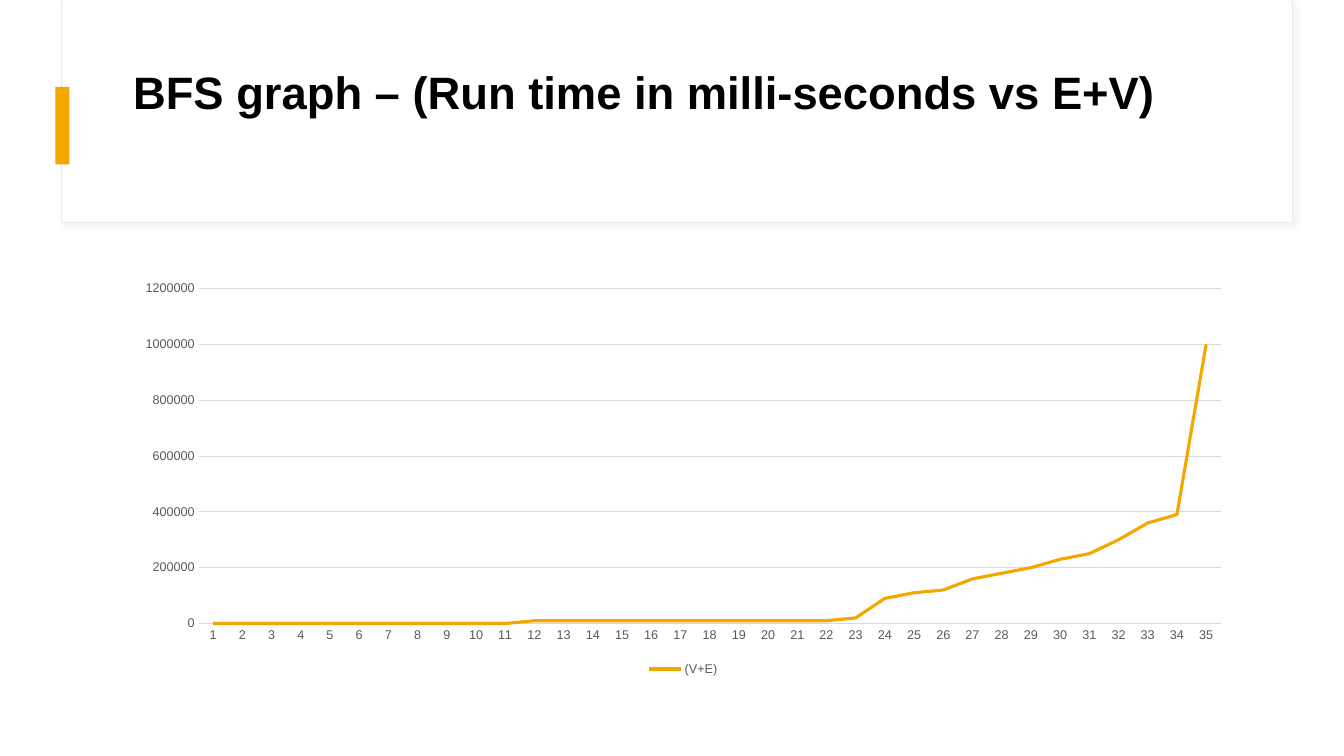
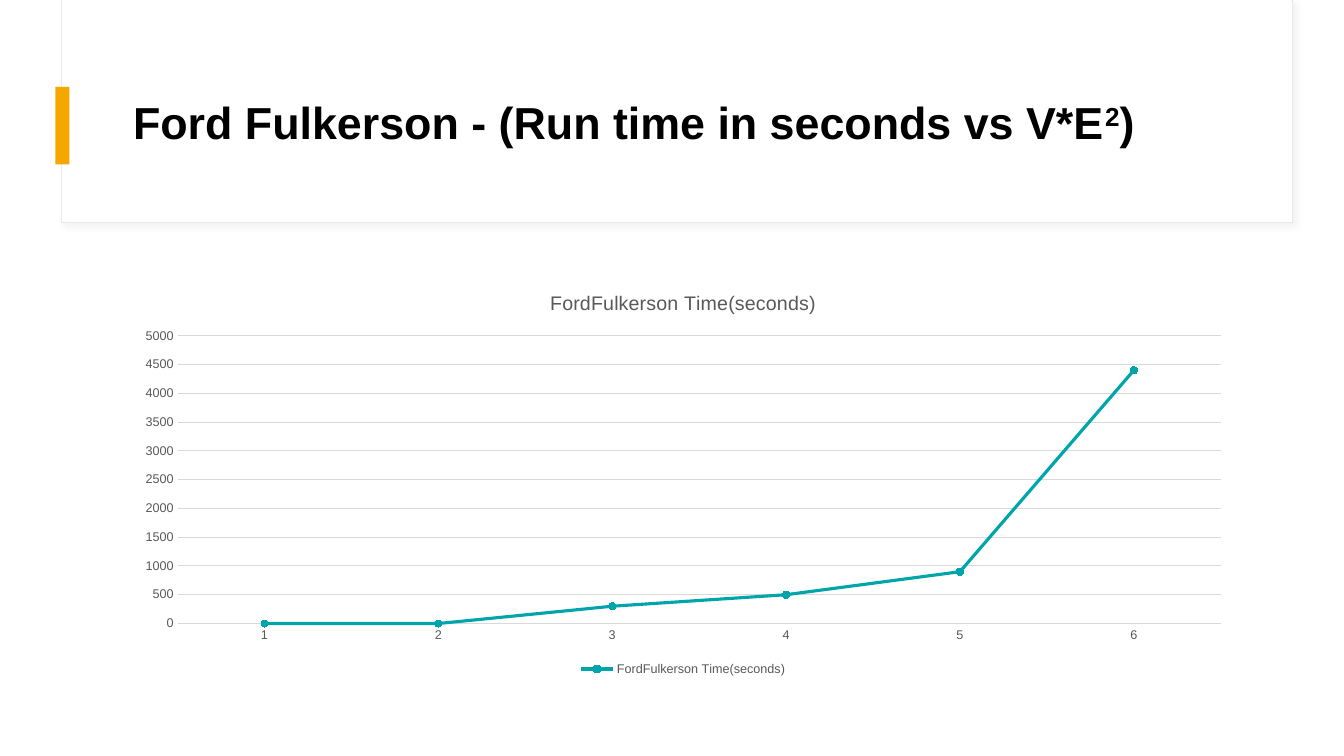
"""Build two slides of line charts showing the run times of graph algorithms."""
from lxml.etree import SubElement
from pptx import Presentation
from pptx.chart.data import CategoryChartData
from pptx.dml.color import RGBColor
from pptx.enum.chart import XL_CHART_TYPE, XL_LEGEND_POSITION, XL_MARKER_STYLE, XL_TICK_MARK
from pptx.enum.shapes import MSO_SHAPE
from pptx.enum.text import MSO_ANCHOR
from pptx.oxml.ns import qn
from pptx.util import Pt

FONT = "Arial"
COLORS = {
    "white": "FFFFFF", "black": "000000", "frame": "E9E9E9", "grid": "D9D9D9",
    "label": "595959", "amber": "F5A700", "teal": "00A5AB",
}
SLIDES = [
    {
        "title": [("BFS graph – (Run time in milli-seconds vs E+V)", False)],
        "title_size": 32.4,
        "space_below": 44,
        "series": "(V+E)",
        "values": [0] * 11 + [10000] * 11 + [
            20000, 90000, 110000, 120000, 160000, 180000, 200000,
            230000, 250000, 300000, 360000, 390000, 1000000],
        "color": "amber",
        "markers": False,
        "axis_top": 1200000,
        "axis_step": 200000,
    },
    {
        "title": [("Ford Fulkerson - (Run time in seconds vs V*E", False), ("2", True), (")", False)],
        "title_size": 32,
        "space_below": 0,
        "series": "FordFulkerson Time(seconds)",
        "values": [0, 0, 300, 500, 900, 4400],
        "color": "teal",
        "markers": True,
        "axis_top": 5000,
        "axis_step": 500,
    },
]


def rgb(name):
    return RGBColor.from_string(COLORS[name])


def style_font(font, size, color, bold=False):
    font.name, font.size, font.bold = FONT, Pt(size), bold
    font.color.rgb = rgb(color)


deck = Presentation()
deck.slide_width, deck.slide_height = Pt(960), Pt(540)

for content in SLIDES:
    page = deck.slides.add_slide(deck.slide_layouts[6])

    blocks = []
    for left, top, width, height, color in [
        (44, 0, 879, 159, "white"),
        (44.5, 0, 878, 158.5, "white"),
        (39.5, 62, 10, 55.5, "amber"),
    ]:
        block = page.shapes.add_shape(MSO_SHAPE.RECTANGLE, Pt(left), Pt(top), Pt(width), Pt(height))
        block.shadow.inherit = False
        block.fill.solid()
        block.fill.fore_color.rgb = rgb(color)
        block.line.fill.background()
        blocks.append(block)

    frame = blocks[0]
    frame.line.color.rgb = rgb("frame")
    frame.line.width = Pt(0.75)
    effects = frame.element.spPr.find(qn("a:effectLst"))
    shadow = SubElement(effects, qn("a:outerShdw"), blurRad=str(Pt(4)), dist=str(Pt(3)),
                        dir="2700000", algn="tl", rotWithShape="0")
    shade = SubElement(shadow, qn("a:srgbClr"), val=COLORS["grid"])
    SubElement(shade, qn("a:alpha"), val="30000")

    box = page.shapes.add_textbox(Pt(88), Pt(43), Pt(800), Pt(93))
    box.text_frame.word_wrap = True
    box.text_frame.vertical_anchor = MSO_ANCHOR.MIDDLE
    box.text_frame.margin_bottom = Pt(3.6 + content["space_below"])
    para = box.text_frame.paragraphs[0]
    para.line_spacing = 0.9
    style_font(para.font, content["title_size"], "black", bold=True)
    for text, raised in content["title"]:
        span = para.add_run()
        span.text = text
        if raised:
            span.font._element.set("baseline", "30000")

    chart_data = CategoryChartData(number_format="0")
    chart_data.categories = [str(number) for number in range(1, len(content["values"]) + 1)]
    chart_data.add_series(content["series"], content["values"])
    chart_type = XL_CHART_TYPE.LINE_MARKERS if content["markers"] else XL_CHART_TYPE.LINE
    chart = page.shapes.add_chart(chart_type, Pt(88), Pt(195), Pt(800), Pt(291), chart_data).chart
    style_font(chart.font, 10, "black")

    chart.has_title = content["markers"]
    if chart.has_title:
        heading = chart.chart_title.text_frame
        heading.text = content["series"]
        style_font(heading.paragraphs[0].font, 14, "label")

    chart.has_legend = True
    chart.legend.position = XL_LEGEND_POSITION.BOTTOM
    chart.legend.include_in_layout = False
    style_font(chart.legend.font, 9, "label")

    for axis in (chart.category_axis, chart.value_axis):
        axis.major_tick_mark = axis.minor_tick_mark = XL_TICK_MARK.NONE
        style_font(axis.tick_labels.font, 9, "label")
    chart.value_axis.minimum_scale = 0
    chart.value_axis.maximum_scale = content["axis_top"]
    chart.value_axis.major_unit = content["axis_step"]
    chart.value_axis.tick_labels.number_format = "0"
    chart.value_axis.tick_labels.number_format_is_linked = False
    chart.value_axis.format.line.fill.background()
    for line in (chart.category_axis.format.line, chart.value_axis.major_gridlines.format.line):
        line.color.rgb = rgb("grid")
        line.width = Pt(0.75)

    chart.plots[0].vary_by_categories = False
    series = chart.plots[0].series[0]
    series.smooth = False
    series.format.line.color.rgb = rgb(content["color"])
    series.format.line.width = Pt(2.25)
    if content["markers"]:
        series.marker.style = XL_MARKER_STYLE.CIRCLE
        series.marker.size = 5
        series.marker.format.fill.solid()
        series.marker.format.fill.fore_color.rgb = rgb(content["color"])
        series.marker.format.line.color.rgb = rgb(content["color"])
    else:
        series.marker.style = XL_MARKER_STYLE.NONE

deck.save("out.pptx")
